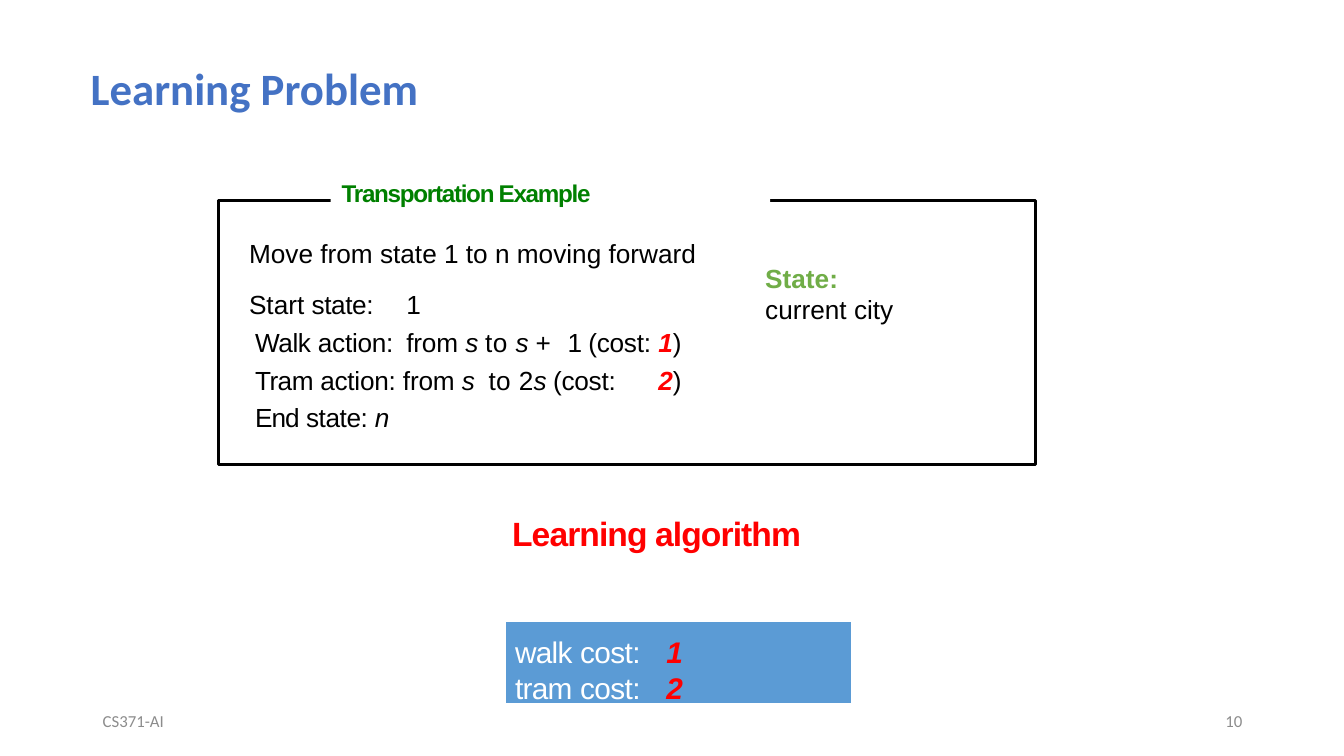
from lxml import etree
from pptx import Presentation
from pptx.dml.color import RGBColor
from pptx.enum import shapes, text
from pptx.oxml.ns import qn
from pptx.util import Inches, Pt

BLACK = RGBColor(0, 0, 0)
WHITE = RGBColor(255, 255, 255)
RED = RGBColor(255, 0, 0)
GREEN = RGBColor(0, 128, 0)
LIME = RGBColor(0x70, 0xAD, 0x47)
TITLE = RGBColor(0x44, 0x72, 0xC4)
PANEL = RGBColor(0x5B, 0x9B, 0xD5)
GRAY = RGBColor(0x8C, 0x8C, 0x8C)


def put(para, parts, size, color, font="Arial", bold=False):
    """Add runs of (words, letter spacing in points, style); style is "", "i" or "red"."""
    para.alignment = text.PP_ALIGN.LEFT
    for words, gap, style in parts:
        run = para.add_run()
        run.text = words
        run.font.name, run.font.size = font, Pt(size)
        run.font.bold = bold or style == "red"
        run.font.italic = style != ""
        run.font.color.rgb = RED if style == "red" else color
        run.font._element.set("spc", str(round(gap * 100)))


def indent(para, left, first=0, tabs=()):
    """Set margins and tab stops in inches, without a bullet."""
    props = para._p.get_or_add_pPr()
    props.set("marL", str(Inches(left)))
    props.set("indent", str(Inches(first)))
    etree.SubElement(props, qn("a:buNone"))
    if tabs:
        stops = etree.SubElement(props, qn("a:tabLst"))
        for pos in tabs:
            etree.SubElement(stops, qn("a:tab"), pos=str(Inches(pos)), algn="l")


deck = Presentation()
deck.slide_width, deck.slide_height = Inches(13.33), Inches(7.5)
slide = deck.slides.add_slide(deck.slide_layouts[1])
add = slide.shapes

# Title
title = slide.shapes.title
title.left, title.top = Inches(0.8), Inches(0.61)
title.width, title.height = Inches(7.37), Inches(0.9)
frame = title.text_frame
frame.auto_size = text.MSO_AUTO_SIZE.NONE
frame.vertical_anchor = text.MSO_ANCHOR.TOP
frame.paragraphs[0].line_spacing = 0.9
put(frame.paragraphs[0], [("Learning Problem", 0, "")], 32, TITLE, "Calibri", True)

# Problem statement
body = slide.placeholders[1]
body.left, body.top = Inches(2.33), Inches(2.16)
body.width, body.height = Inches(7), Inches(2.16)
frame = body.text_frame
frame.auto_size = text.MSO_AUTO_SIZE.NONE
frame.margin_left = frame.margin_right = frame.margin_bottom = 0
frame.margin_top = Inches(0.01)
facts = [
    (-0.06, (), 1.59, 0, [("Move from state 1 to n moving forward", 0, "")]),
    (-0.06, (2,), 1.59, 0.6, [("Start ", 0, ""), ("state:\t", -0.3, ""), ("1", -0.8, "")]),
    (0, (1.56, 5), 1.21, 0, [
        ("Walk ", -0.3, ""), ("action:\t", -0.2, ""), ("from ", -0.1, ""),
        ("s ", -0.4, "i"), ("to ", 0.3, ""), ("s ", -0.4, "i"), ("+ ", 3.4, ""),
        ("1 ", -0.8, ""), ("(cost:\t", -0.2, ""), ("1", -1.4, "red"), (")", 0.9, "")]),
    (0, (3.84,), 1.21, 0, [
        ("Tram ", -0.4, ""), ("action: ", -0.2, ""), ("from ", -0.1, ""),
        ("s  ", -0.4, "i"), ("to ", 0.3, ""), ("2", -0.6, ""), ("s ", -0.6, "i"),
        ("(cost:\t", -0.2, ""), ("2", -0.2, "red"), (")", -0.2, "")]),
    (0, (), 1, 4.2, [("End ", -0.7, ""), ("state: ", -0.3, ""), ("n", 0.9, "i")]),
]
for i, (first, tabs, line, before, parts) in enumerate(facts):
    para = frame.add_paragraph() if i else frame.paragraphs[0]
    indent(para, 0.2, first, tabs)
    para.line_spacing, para.space_before = line, Pt(before)
    put(para, parts, 18.7, BLACK)

# Border with its heading
rect = shapes.MSO_SHAPE.RECTANGLE
border = add.add_shape(rect, Inches(2.17), Inches(1.99), Inches(8.1), Inches(2.62))
border.fill.background()
border.line.color.rgb, border.line.width = BLACK, Pt(2)
head = add.add_shape(rect, Inches(3.28), Inches(1.77), Inches(4.36), Inches(0.44))
head.fill.solid()
head.fill.fore_color.rgb = WHITE
head.line.fill.background()
frame = head.text_frame
frame.margin_left = Inches(0.11)
frame.margin_top = frame.margin_right = frame.margin_bottom = 0
frame.vertical_anchor = text.MSO_ANCHOR.TOP
put(frame.paragraphs[0], [("Transportation Example", -0.9, "")], 17.3, GREEN, bold=True)

# Cost panel
panel = add.add_shape(rect, Inches(5.01), Inches(6.16), Inches(3.44), Inches(0.83))
panel.fill.solid()
panel.fill.fore_color.rgb = PANEL
panel.line.color.rgb, panel.line.width = WHITE, Pt(1.5)
frame = panel.text_frame
frame.margin_left = frame.margin_right = frame.margin_bottom = 0
frame.margin_top = Inches(0.13)
frame.vertical_anchor = text.MSO_ANCHOR.TOP
for i, (mode, cost) in enumerate([("walk ", "1"), ("tram ", "2")]):
    para = frame.add_paragraph() if i else frame.paragraphs[0]
    indent(para, 0.1, 0, (2.59,))
    put(para, [(mode, -0.5, ""), ("cost:\t", -0.4, ""), (cost, 0, "red")], 21.3, WHITE)
for shape in (border, head, panel):
    shape.shadow.inherit = False

# State note, algorithm label and footer
left, right = text.PP_ALIGN.LEFT, text.PP_ALIGN.RIGHT
top, mid = text.MSO_ANCHOR.TOP, text.MSO_ANCHOR.MIDDLE
labels = [
    (7.59, 2.6, 3.2, 0.64, 0, top, left, 18.7, "Arial",
     [("State:", 0, LIME, True), ("current city", 0, BLACK, False)]),
    (5.08, 5.04, 4, 0.5, 0, mid, left, 24, "Arial",
     [("Learning algorithm", -0.65, RED, True)]),
    (0.92, 6.95, 3, 0.4, 0.1, mid, left, 12, "Calibri", [("CS371-AI", 0, GRAY, False)]),
    (9.42, 6.95, 3, 0.4, 0.1, mid, right, 12, "Calibri", [("10", 0, GRAY, False)]),
]
for x, y, wide, high, inset, anchor, align, size, font, lines in labels:
    box = add.add_textbox(Inches(x), Inches(y), Inches(wide), Inches(high))
    frame = box.text_frame
    frame.word_wrap = True
    frame.vertical_anchor = anchor
    frame.margin_left = frame.margin_right = Inches(inset)
    frame.margin_top = frame.margin_bottom = 0
    for i, (words, gap, color, bold) in enumerate(lines):
        para = frame.add_paragraph() if i else frame.paragraphs[0]
        put(para, [(words, gap, "")], size, color, font, bold)
        para.alignment = align

deck.save("out.pptx")
